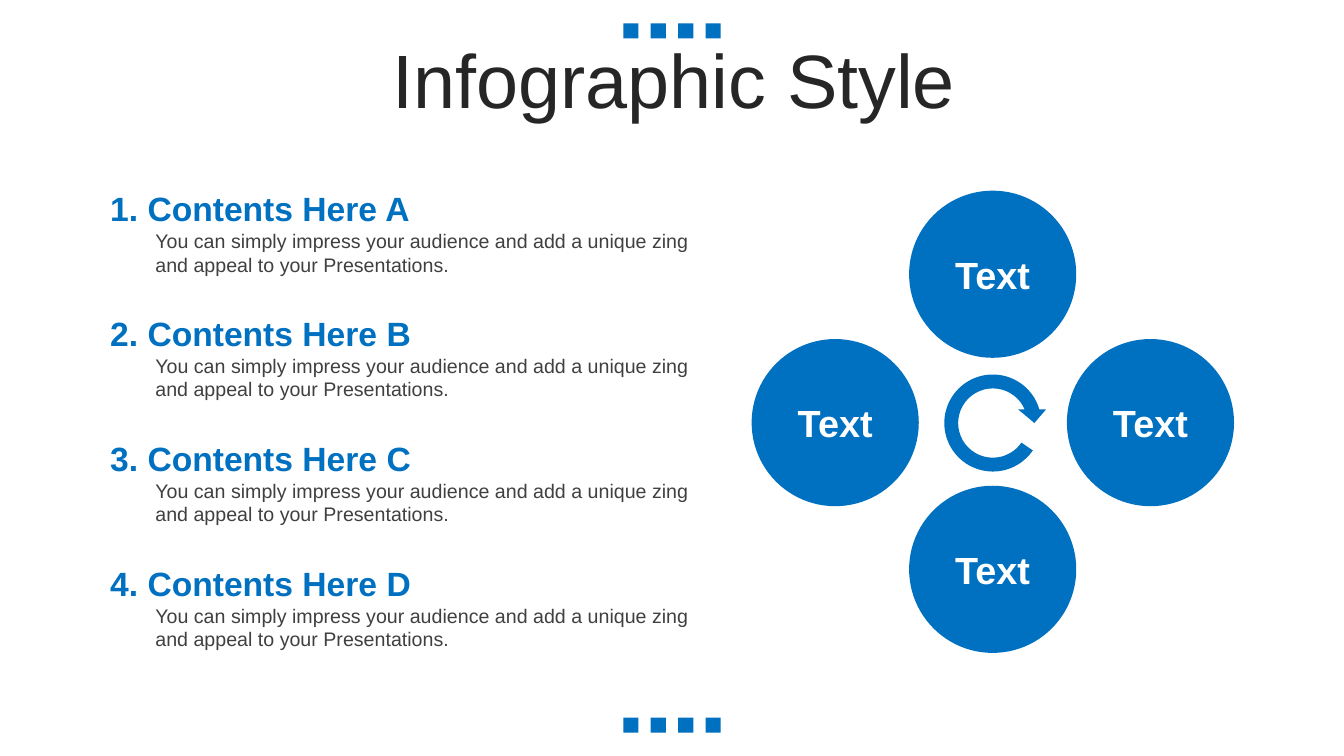
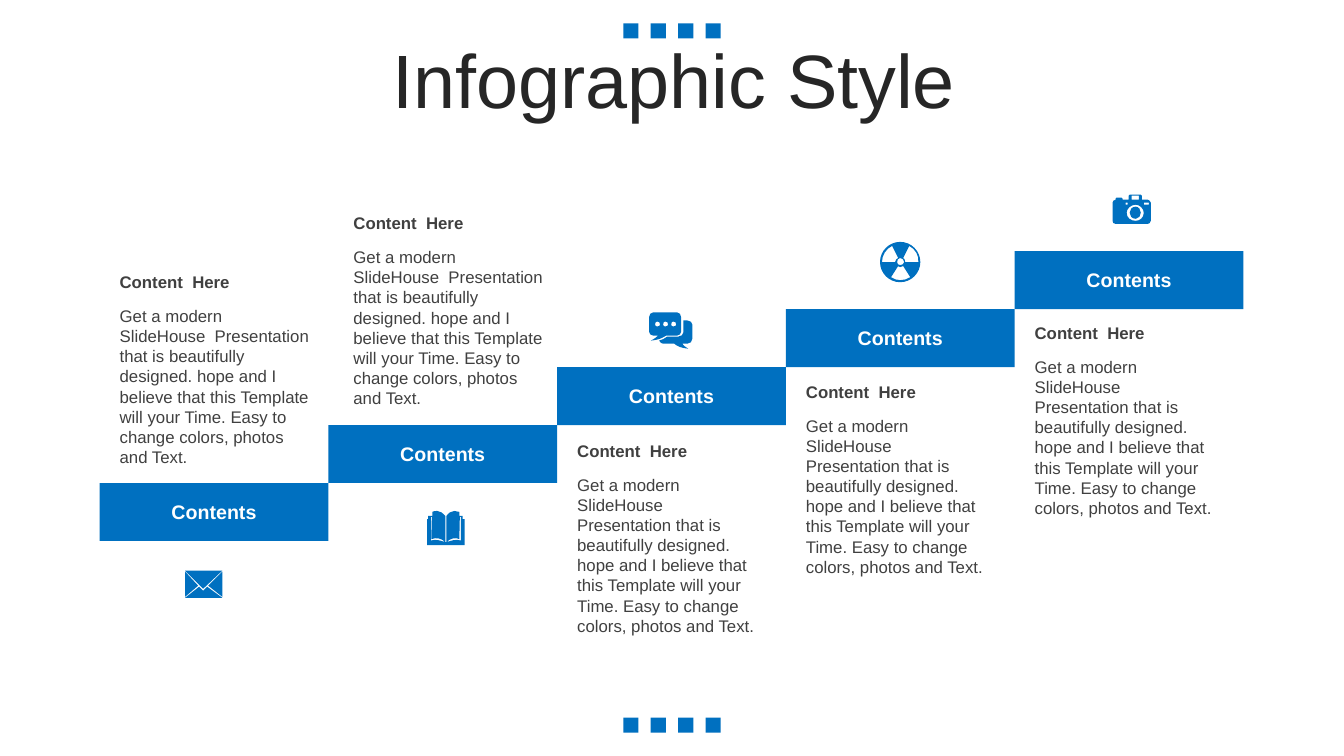
from lxml import etree
from pptx import Presentation
from pptx.dml.color import RGBColor
from pptx.enum import shapes, text
from pptx.oxml.ns import qn
from pptx.util import Pt

BLUE, WHITE, DARK, GREY = "0070C0", "FFFFFF", "262626", "404040"
KIND = shapes.MSO_SHAPE
MID = text.MSO_ANCHOR.MIDDLE
TOP = text.MSO_ANCHOR.TOP
LEFT = text.PP_ALIGN.LEFT
CENTER = text.PP_ALIGN.CENTER


def paint(shape):
    shape.shadow.inherit = False
    shape.fill.solid()
    shape.fill.fore_color.rgb = RGBColor.from_string(BLUE)
    shape.line.fill.background()
    return shape


def write(shape, words, size, color, bold=False, align=LEFT, anchor=TOP):
    frame = shape.text_frame
    frame.word_wrap = True
    frame.vertical_anchor = anchor
    para = frame.paragraphs[0]
    para.alignment = align
    run = para.add_run()
    run.text = words
    run.font.name = "Arial"
    run.font.size = Pt(size)
    run.font.bold = bold
    run.font.color.rgb = RGBColor.from_string(color)
    return para


deck = Presentation()
deck.slide_width, deck.slide_height = Pt(960), Pt(540)
pages = [deck.slides.add_slide(deck.slide_layouts[6]) for _ in range(2)]

for page in pages:
    for y in (16.6, 512.6):
        for i in range(4):
            paint(page.shapes.add_shape(
                KIND.RECTANGLE, Pt(445.2 + 19.6 * i), Pt(y), Pt(10.8), Pt(10.8)))
    box = page.shapes.add_textbox(Pt(25.6), Pt(31.7), Pt(911.5), Pt(56.9))
    para = write(box, "Infographic Style", 54, DARK, align=CENTER, anchor=MID)
    para.line_spacing = 0.9

cycle, steps = pages

for x, y in ((649.4, 136.2), (649.4, 347), (536.9, 242.2), (762.1, 242.2)):
    disc = paint(cycle.shapes.add_shape(
        KIND.OVAL, Pt(x), Pt(y), Pt(119.4), Pt(119.4)))
    write(disc, "Text", 27, WHITE, True, CENTER, MID)

arrow = paint(cycle.shapes.add_shape(
    KIND.CIRCULAR_ARROW, Pt(669.6), Pt(262.6), Pt(79.2), Pt(79.2)))
for i, value in enumerate((0.125, 11.423, 204.577, 20.646, 0.125)):
    arrow.adjustments[i] = value

for i, letter in enumerate("ABCD"):
    y = 130.6 + 89.2 * i
    body = cycle.shapes.add_textbox(Pt(105.2), Pt(y + 29.4), Pt(401), Pt(41))
    body.text_frame.margin_left = body.text_frame.margin_right = Pt(5.8)
    write(body, "You can simply impress your audience and add a unique zing "
          "and appeal to your Presentations.", 14, GREY)
    head = cycle.shapes.add_textbox(Pt(71.7), Pt(y), Pt(435), Pt(36))
    write(head, f"{i + 1}. Contents Here {letter}", 24, BLUE, True)

for i in range(5):
    x, y = 71.2 + 163.4 * i, 345 - 41.4 * i
    band = paint(steps.shapes.add_shape(
        KIND.RECTANGLE, Pt(x), Pt(y), Pt(163.4), Pt(41.4)))
    write(band, "Contents", 14, WHITE, True, CENTER, MID)
    if i < 2:
        x, y, wide = x + 7.2 + 3.6 * i, 190.6 - 42 * i, 152
    else:
        x, y, wide = x + 7.2, 311.1 - 42.1 * (i - 2), 148.6
    head = steps.shapes.add_textbox(Pt(x), Pt(y), Pt(wide), Pt(21.6))
    write(head, "Content  Here", 12, GREY, True, anchor=MID)
    body = steps.shapes.add_textbox(Pt(x), Pt(y + 24.2), Pt(wide), Pt(124))
    write(body, "Get a modern SlideHouse  Presentation that is beautifully "
          "designed. hope and I believe that this Template will your Time. "
          "Easy to change colors, photos and Text.", 12, GREY)

mail = (132.2, 407.6, [
    "22,16 37,27 0,27 14,16 18,20",
    "37,1 37,26 23,15",
    "0,1 13,15 0,26",
    "0,0 37,0 18,18"])
book = (305.2, 365, [
    "18,31 18,31;19,31;19,31 25,29;28,28;33.4,29.3 33.4,6 32.4,6 "
    "32,13;32,21;32,28 28,26;23,27;19,31 19,6 19,5 21,2;24,0;27,0 "
    "29,0;30,0;32,1 32,2;32,4;32,5 35,5 35,8 37,8 37,34 0,34 "
    "0,8 1,8 1,5 5,5 5,4;5,2;5,1 6,0;8,0;10,0 13,0;15,2;18,5 18,6 18,31 "
    "14,27;9,26;4,28 4.6,6 3.6,6 3.6,29.3 9,28;12,29;18,31"])
fan = (628.6, 172.8, [
    "18,24 11,35 16,39;24,39;30,35 23,24 22,24;21,25;20,25 19,25;18,24;18,24",
    "20,16 18,16;17,18;17,20 17,22;18,23;20,23 22,23;24,22;24,20 "
    "24,18;22,16;20,16",
    "29,4 23,16 24,16;25,18;25,20 38,20 39,14;35,7;29,4",
    "12,4 6,7;2,13;2,20 15,20 15,18;17,16;18,16",
    "20,0 31,0;40,9;40,20 40,31;31,40;20,40 9,40;0,31;0,20 0,9;9,0;20,0"])
photo = (794.7, 139, [
    "23,12 26,12;28,15;28,18 28,21;26,24;23,24 19,24;17,21;17,18 "
    "17,15;19,12;23,12",
    "23,10 18,10;14,14;14,18 14,23;18,26;23,26 27,26;31,23;31,18 "
    "31,14;27,10;23,10",
    "13,8 13,10 15,10 15,8",
    "31,8 31,10 36,10 36,8",
    "19,1 19,5 26,5 26,1",
    "17,0 28,0 29,0;29,1;29,1 29,5 35,5 36,5;38,7;38,8 38,26 "
    "38,28;36,29;35,29 3,29 1,29;0,28;0,26 0,8 0,7;1,5;3,5 3,4 "
    "3,4;3,3;4,3 9,3 10,3;10,4;10,4 10,5 16,5 16,1 16,1;16,0;17,0"])
dots = [f"{x},9 {x - 1},9;{x - 2},10;{x - 2},12 {x - 2},13;{x - 1},14;{x},14 "
        f"{x + 2},14;{x + 3},13;{x + 3},12 {x + 3},10;{x + 2},9;{x},9"
        for x in (24, 16, 8)]
chat = (463.6, 223.2, dots + [
    "34,8 38,8 41,8;43,10;43,12 43,26 43,29;41,31;38,31 33,31 "
    "34,32;34,33;39,36 31,35;29,34;25,31 14,31 13,31;11,30;10,28 "
    "13,27;16,26;18,24 29,24 32,24;34,22;34,20",
    "4,0 28,0 30,0;32,2;32,5 32,19 32,21;30,23;28,23 17,23 "
    "12,26;10,27;2,28 7,25;7,25;9,23 4,23 2,23;0,21;0,19 0,5 0,2;2,0;4,0"])

for left, top, paths in (mail, book, fan, photo, chat):
    pen, bends, count = None, [], 0
    for path in paths:
        knots = []
        for move in path.split():
            group = [tuple(round(float(n) * 10) for n in knot.split(","))
                     for knot in move.split(";")]
            if len(group) == 3:
                bends.append(count)
            if knots:
                count += len(group)
            knots += group
        if pen is None:
            pen = steps.shapes.build_freeform(*knots[0], scale=Pt(0.72) / 10)
        else:
            pen.move_to(*knots[0])
        pen.add_line_segments(knots[1:], close=False)
    icon = paint(pen.convert_to_shape(Pt(left), Pt(top)))
    lines = list(icon.element.iter(qn("a:lnTo")))
    for start in bends:
        curve = etree.Element(qn("a:cubicBezTo"))
        lines[start].addprevious(curve)
        for line in lines[start:start + 3]:
            curve.append(line[0])
            line.getparent().remove(line)
    outline = next(icon.element.iter(qn("a:path")))
    for start in list(outline)[1:]:
        if start.tag == qn("a:moveTo"):
            start.addprevious(etree.Element(qn("a:close")))
    etree.SubElement(outline, qn("a:close"))

deck.save("out.pptx")
